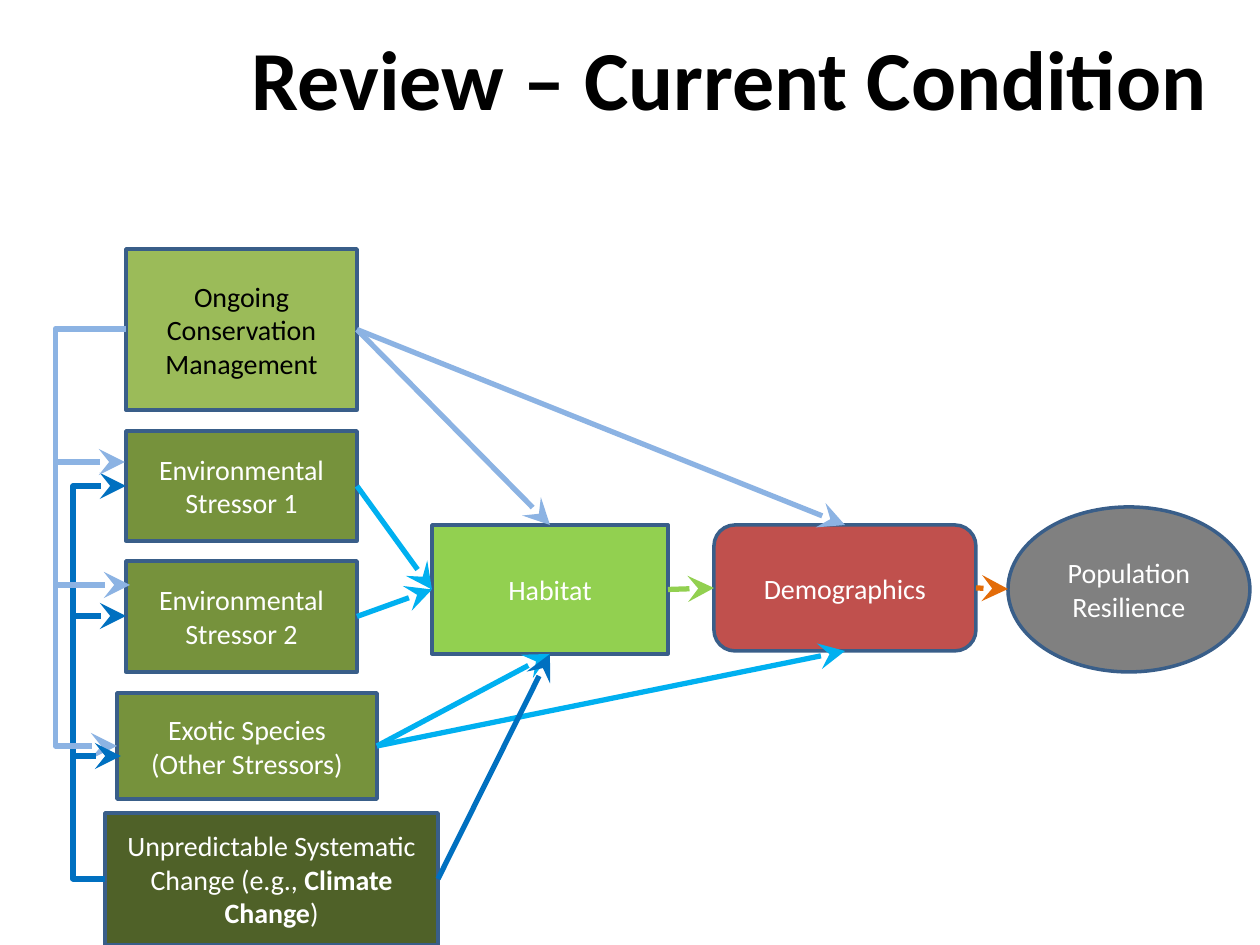
from dataclasses import dataclass

from lxml.etree import SubElement
from pptx import Presentation
from pptx.dml.color import RGBColor
from pptx.enum.shapes import MSO_CONNECTOR, MSO_SHAPE
from pptx.enum.text import MSO_ANCHOR, MSO_AUTO_SIZE, PP_ALIGN
from pptx.oxml.ns import qn
from pptx.util import Emu, Pt

SCALE = 914400 / 126
TOP, LEFT, BOTTOM, RIGHT = range(4)


@dataclass(frozen=True)
class Theme:
    font: str = "Calibri"
    title: int = 48
    body: int = 16
    edge: int = 2
    arrow: int = 3
    black: str = "000000"
    white: str = "FFFFFF"
    border: str = "395E89"
    manage: str = "9BBB59"
    stress: str = "76923C"
    change: str = "4F6128"
    habitat: str = "92D050"
    people: str = "C0504D"
    result: str = "808080"
    pale: str = "8CB3E3"
    sky: str = "00B0F0"
    blue: str = "0070C0"
    orange: str = "E36C09"


THEME = Theme()


def px(num):
    return Emu(round(num * SCALE))


def rgb(code):
    return RGBColor.from_string(code)


def write(frame, text, size=THEME.body, color=THEME.white, bold=False,
          anchor=MSO_ANCHOR.MIDDLE):
    """Fill a frame: each line is a paragraph, and *stars* mark bold words."""
    frame.word_wrap = True
    frame.auto_size = MSO_AUTO_SIZE.NONE
    frame.vertical_anchor = anchor
    for row, line in enumerate(text.split("\n")):
        para = frame.add_paragraph() if row else frame.paragraphs[0]
        para.alignment = PP_ALIGN.CENTER
        for part, words in enumerate(line.split("*")):
            run = para.add_run()
            run.text = words
            font = run.font
            font.name, font.size = THEME.font, Pt(size)
            font.bold = bold or part % 2 == 1
            font.color.rgb = rgb(color)


def add_title(slide, text, left, top, width, height):
    title = slide.shapes.title
    title.left, title.top = px(left), px(top)
    title.width, title.height = px(width), px(height)
    write(title.text_frame, text, size=THEME.title, color=THEME.black,
          bold=True, anchor=MSO_ANCHOR.TOP)


def add_box(slide, text, place, fill, kind=MSO_SHAPE.RECTANGLE, **style):
    box = slide.shapes.add_shape(kind, *map(px, place))
    box.shadow.inherit = False
    box.fill.solid()
    box.fill.fore_color.rgb = rgb(fill)
    box.line.color.rgb = rgb(THEME.border)
    box.line.width = Pt(THEME.edge)
    write(box.text_frame, text, **style)
    return box


def add_arrow(slide, start, end, color, kind=MSO_CONNECTOR.STRAIGHT):
    line = slide.shapes.add_connector(kind, *map(px, start + end))
    line.line.color.rgb = rgb(color)
    line.line.width = Pt(THEME.arrow)
    SubElement(line.line._get_or_add_ln(), qn("a:tailEnd"),
               type="stealth", w="lg", len="lg")
    SubElement(line._element.spPr, qn("a:effectLst"))
    return line


def link(slide, source, side, target, face, color):
    """Glue an arrow from one side of a box to one side of another."""
    line = add_arrow(slide, (0, 0), (0, 0), color)
    line.begin_connect(source, side)
    line.end_connect(target, face)


def add_bend(slide, start, end, turn, color):
    """Draw an elbow arrow whose upright part stands at x = turn."""
    line = add_arrow(slide, start, end, color, MSO_CONNECTOR.ELBOW)
    ratio = (turn - start[0]) / (end[0] - start[0])
    guides = line._element.spPr.find(qn("a:prstGeom")).get_or_add_avLst()
    SubElement(guides, qn("a:gd"), name="adj1",
               fmla=f"val {round(ratio * 100000)}")


def main():
    deck = Presentation()
    deck.slide_width, deck.slide_height = px(1260), px(945)
    slide = deck.slides.add_slide(deck.slide_layouts[5])
    add_title(slide, "Review – Current Condition", 199, 20, 1061, 127)

    add_box(slide, "Population Resilience", (1008, 507, 242, 165),
            THEME.result, MSO_SHAPE.OVAL)
    people = add_box(slide, "Demographics", (714, 525, 262, 126),
                     THEME.people, MSO_SHAPE.ROUNDED_RECTANGLE)
    habitat = add_box(slide, "Habitat", (432, 525, 236, 129), THEME.habitat)
    manage = add_box(slide, "Ongoing Conservation\nManagement",
                     (126, 249, 231, 161), THEME.manage, color=THEME.black)
    first = add_box(slide, "Environmental Stressor 1",
                    (126, 431, 231, 110), THEME.stress)
    second = add_box(slide, "Environmental Stressor 2",
                     (126, 561, 231, 111), THEME.stress)
    exotic = add_box(slide, "Exotic Species\n(Other Stressors)",
                     (117, 693, 260, 106), THEME.stress)
    change = add_box(
        slide, "Unpredictable Systematic Change (e.g., *Climate Change*)",
        (105, 813, 333, 132), THEME.change)

    for source, target, face, color in (
            (second, habitat, LEFT, THEME.sky),
            (first, habitat, LEFT, THEME.sky),
            (exotic, habitat, BOTTOM, THEME.sky),
            (manage, habitat, TOP, THEME.pale),
            (manage, people, TOP, THEME.pale),
            (exotic, people, BOTTOM, THEME.sky),
            (habitat, people, LEFT, THEME.habitat),
            (change, habitat, BOTTOM, THEME.blue)):
        link(slide, source, RIGHT, target, face, color)
    add_arrow(slide, (976, 588), (1008, 589), THEME.orange)

    add_bend(slide, (105, 879), (126, 486), 73, THEME.blue)
    add_bend(slide, (126, 329), (117, 746), 55, THEME.pale)
    for left, right, level, color in (
            (76, 121, 756, THEME.blue), (76, 126, 616, THEME.blue),
            (58, 130, 585, THEME.pale), (58, 125, 462, THEME.pale)):
        add_arrow(slide, (left, level), (right, level), color)

    deck.save("out.pptx")


if __name__ == "__main__":
    main()
